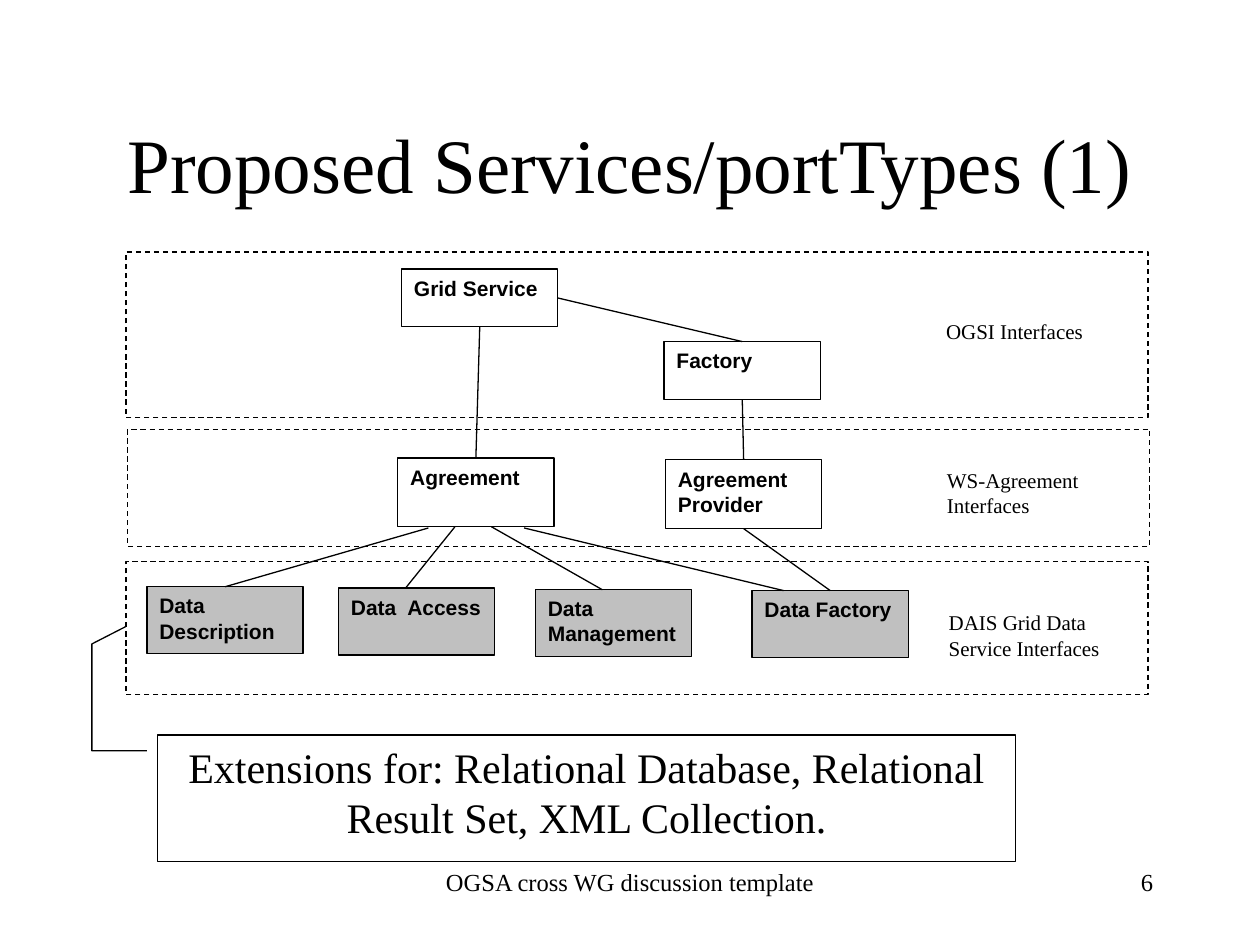
from lxml import etree
from pptx import Presentation
from pptx.dml.color import RGBColor
from pptx.enum.dml import MSO_LINE
from pptx.enum.shapes import MSO_CONNECTOR, MSO_SHAPE
from pptx.enum.text import MSO_ANCHOR, PP_ALIGN
from pptx.oxml.ns import qn
from pptx.util import Pt

BLACK = RGBColor(0x00, 0x00, 0x00)
WHITE = RGBColor(0xFF, 0xFF, 0xFF)
GRAY = RGBColor(0xC0, 0xC0, 0xC0)
SERIF = "Times New Roman"
SANS = "Arial"
TOP, RIGHT, BOTTOM = 0, 3, 2


def write(shape, text, size, font=SERIF, bold=False, align=PP_ALIGN.LEFT, anchor=MSO_ANCHOR.TOP):
    frame = shape.text_frame
    frame.word_wrap = True
    frame.vertical_anchor = anchor
    frame.text = text
    paragraph = frame.paragraphs[0]
    paragraph.alignment = align
    paragraph.font.size = Pt(size)
    paragraph.font.name = font
    paragraph.font.bold = bold
    paragraph.font.color.rgb = BLACK


def add_box(left, top, width, height, fill=WHITE, outlined=True):
    shape = slide.shapes.add_shape(MSO_SHAPE.RECTANGLE, Pt(left), Pt(top), Pt(width), Pt(height))
    shape.shadow.inherit = False
    shape.fill.solid()
    shape.fill.fore_color.rgb = fill
    if outlined:
        shape.line.color.rgb = BLACK
        shape.line.width = Pt(0.75)
    else:
        shape.line.fill.background()
    return shape


presentation = Presentation()
presentation.slide_width = Pt(720)
presentation.slide_height = Pt(540)
slide = presentation.slides.add_slide(presentation.slide_layouts[5])

title = slide.shapes.title
title.left, title.top, title.width, title.height = Pt(54), Pt(48), Pt(612), Pt(90)
write(title, "Proposed Services/portTypes (1)", 44, align=PP_ALIGN.CENTER, anchor=MSO_ANCHOR.MIDDLE)

extensions = add_box(90, 420, 490.5, 72.3)
write(extensions, "Extensions for: Relational Database, Relational Result Set, XML Collection.",
      24, align=PP_ALIGN.CENTER)

builder = slide.shapes.build_freeform(Pt(84), Pt(429), scale=1.0)
builder.add_line_segments([(Pt(52.5), Pt(429)), (Pt(52.5), Pt(368)), (Pt(72), Pt(358))], close=False)
bracket = builder.convert_to_shape()
bracket.shadow.inherit = False
bracket.fill.background()
bracket.line.color.rgb = BLACK
bracket.line.width = Pt(0.75)

bands = [
    (72, 144, 94.5, "OGSI Interfaces", 533.5, 178.5, 29),
    (73, 245.3, 67, "WS-Agreement Interfaces", 534, 263.5, 34.5),
    (72, 321, 75.8, "DAIS Grid Data Service Interfaces", 535, 345, 37.5),
]
for left, top, height, label, label_left, label_top, label_height in bands:
    band = add_box(left, top, 584, height)
    band.line.dash_style = MSO_LINE.DASH
    caption = add_box(label_left, label_top, 114.5, label_height, outlined=False)
    write(caption, label, 12)

services = [
    ("Grid Service", 229.5, 153.8, 33, WHITE),
    ("Factory", 379.5, 195.2, 33, WHITE),
    ("Agreement", 227.3, 261.8, 39, WHITE),
    ("Agreement Provider", 380.3, 262.8, 39.3, WHITE),
    ("Data Description", 84, 335.3, 38.3, GRAY),
    ("Data  Access", 193.5, 336, 38.3, GRAY),
    ("Data Management", 306, 336.8, 38.3, GRAY),
    ("Data Factory", 429.8, 337.5, 38.3, GRAY),
]
boxes = {}
for name, left, top, height, fill in services:
    boxes[name] = add_box(left, top, 89.3, height, fill)
    write(boxes[name], name, 12, SANS, bold=True)

links = [
    ((320.4, 173.5), (419.8, 195.2), ("Grid Service", RIGHT), ("Factory", TOP)),
    ((422, 227.5), (422, 263.5), ("Factory", BOTTOM), ("Agreement Provider", TOP)),
    ((270.7, 185), (270.7, 260.6), ("Grid Service", BOTTOM), ("Agreement", TOP)),
    ((244.8, 301.7), (126.7, 334), None, ("Data Description", TOP)),
    ((260, 301), (231.8, 336), None, None),
    ((280.8, 301), (344.2, 337), None, None),
    ((299.5, 301.7), (447.8, 337.5), None, None),
    ((422, 301.7), (475.2, 338.4), ("Agreement Provider", BOTTOM), ("Data Factory", TOP)),
]
for start, end, source, target in links:
    connector = slide.shapes.add_connector(
        MSO_CONNECTOR.STRAIGHT, Pt(start[0]), Pt(start[1]), Pt(end[0]), Pt(end[1]))
    connector.line.color.rgb = BLACK
    connector.line.width = Pt(0.75)
    etree.SubElement(connector.element.spPr, qn("a:effectLst"))
    if source:
        connector.begin_connect(boxes[source[0]], source[1])
    if target:
        connector.end_connect(boxes[target[0]], target[1])

footers = [
    ("OGSA cross WG discussion template", 246, 228, PP_ALIGN.CENTER),
    ("6", 516, 150, PP_ALIGN.RIGHT),
]
for text, left, width, align in footers:
    footer = slide.shapes.add_textbox(Pt(left), Pt(492), Pt(width), Pt(36))
    write(footer, text, 14, align=align)

presentation.save("out.pptx")
